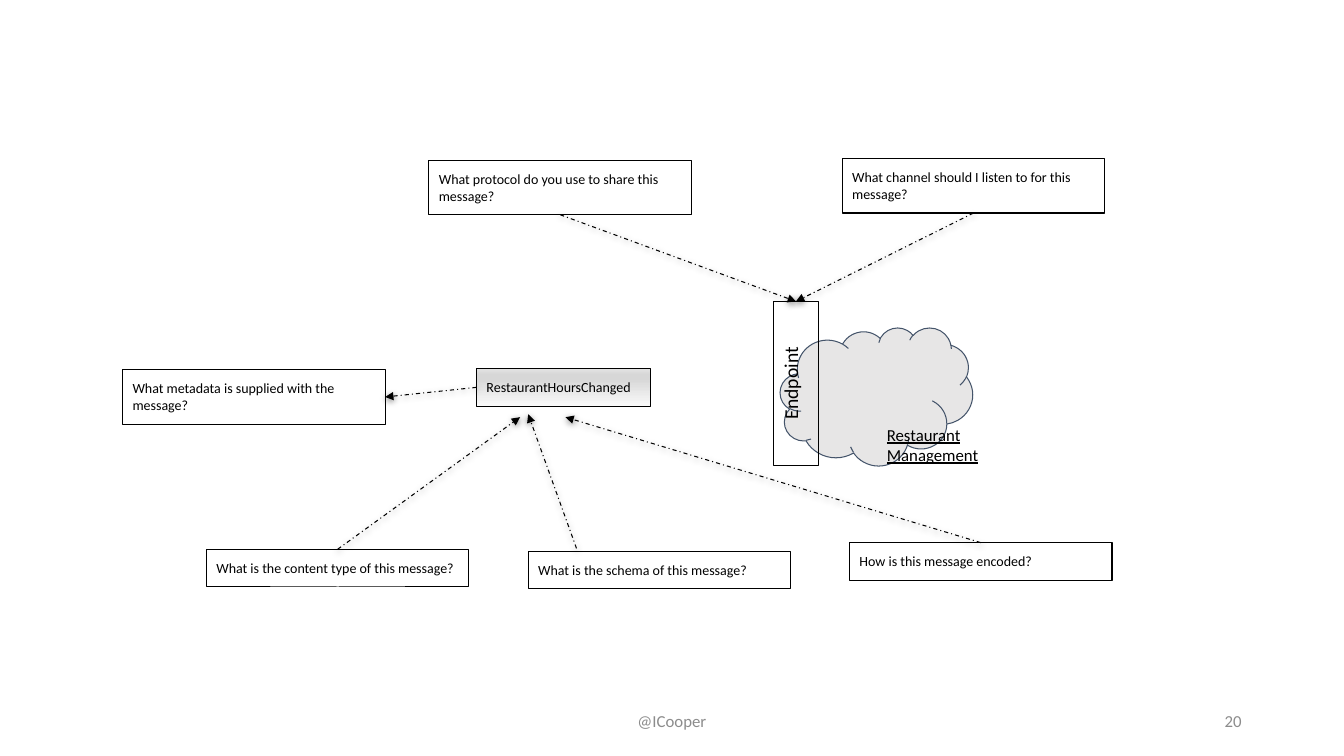
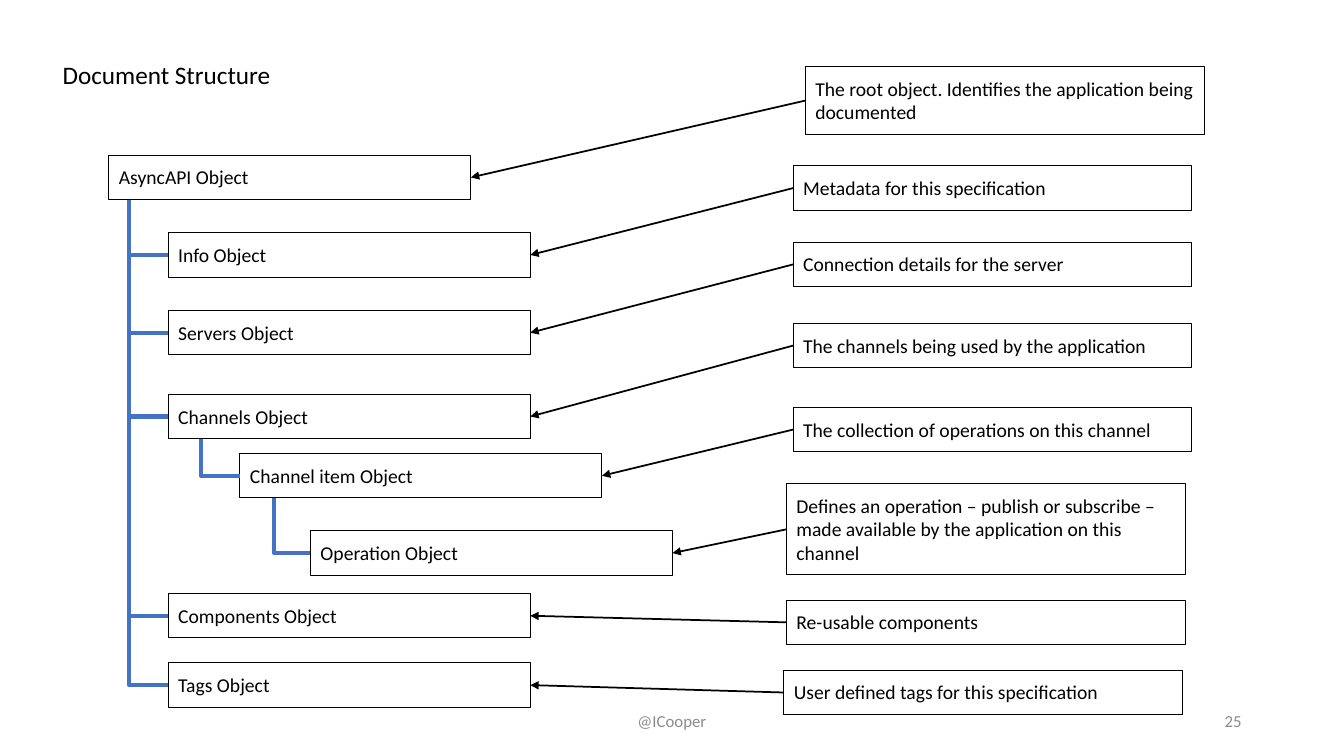
from collections import namedtuple
from dataclasses import dataclass
from enum import IntEnum

from lxml.etree import SubElement
from pptx import Presentation
from pptx.dml.color import RGBColor
from pptx.enum.dml import MSO_LINE
from pptx.enum.shapes import MSO_CONNECTOR, MSO_SHAPE
from pptx.enum.text import MSO_ANCHOR, PP_ALIGN
from pptx.oxml.ns import qn
from pptx.util import Pt


@dataclass(frozen=True)
class Theme:
    font: str = "Calibri"
    ink: str = "000000"
    muted: str = "8C8C8C"
    cloud: str = "E7E6E6"
    cloud_edge: str = "44546A"
    tree: str = "4472C4"
    message_stops: tuple = ((0, "FAFAFA"), (74, "D7D7D7"), (83, "D7D7D7"), (100, "E4E4E4"))
    title_size: int = 18
    body_size: int = 14
    label_size: int = 12
    question_size: int = 10
    inset: float = 7.2
    outline: float = 0.75
    arrow: float = 1.25
    branch: int = 3


class Side(IntEnum):
    TOP = 0
    LEFT = 1
    BOTTOM = 2
    RIGHT = 3


Point = namedtuple("Point", "x y")
Joint = namedtuple("Joint", "shape side")
Row = namedtuple("Row", "name level top note note_left note_top note_height")

THEME = Theme()
QUESTION_WIDTH = 187.5
ONE_LINE, TWO_LINES = 27, 39
OBJECT_WIDTH, NOTE_WIDTH, ROW_HEIGHT = 258.6, 284.8, 31.7
LEVEL_LEFT = (77.8, 120.2, 171.4, 221.8)
TRUNK_INDENT = (14.5, 23.5, 24.5)

OBJECT_ROWS = (
    Row("AsyncAPI Object", 0, 110.9,
        "The root object. Identifies the application being documented", 575.3, 47.6, 48.5),
    Row("Info Object", 1, 166.3, "Metadata for this specification", 566.6, 118.5, ROW_HEIGHT),
    Row("Servers Object", 1, 221.8, "Connection details for the server", 566.6, 173, ROW_HEIGHT),
    Row("Channels Object", 1, 281.7,
        "The channels being used by the application", 566.6, 231, ROW_HEIGHT),
    Row("Channel item Object", 2, 324,
        "The collection of operations on this channel", 566.6, 291, ROW_HEIGHT),
    Row("Operation Object", 3, 379.2,
        "Defines an operation – publish or subscribe – made available by the application "
        "on this channel", 561.8, 345.5, 65.2),
    Row("Components Object", 1, 424, "Re-usable components", 561.8, 428.7, ROW_HEIGHT),
    Row("Tags Object", 1, 473.5,
        "User defined tags for this specification", 559.9, 478.8, ROW_HEIGHT),
)


def color(value):
    return RGBColor.from_string(value)


def write(shape, text, size, ink=THEME.ink, align=PP_ALIGN.LEFT, anchor=MSO_ANCHOR.TOP):
    frame = shape.text_frame
    frame.word_wrap = True
    frame.vertical_anchor = anchor
    frame.margin_left = frame.margin_right = Pt(THEME.inset)
    frame.margin_top = frame.margin_bottom = Pt(THEME.inset)
    frame.text = text
    paragraph = frame.paragraphs[0]
    paragraph.alignment = align
    font = paragraph.runs[0].font
    font.name = THEME.font
    font.size = Pt(size)
    font.color.rgb = color(ink)
    return font


def add_text(slide, left, top, width, height, text, size, **style):
    shape = slide.shapes.add_textbox(Pt(left), Pt(top), Pt(width), Pt(height))
    return write(shape, text, size, **style)


def add_outline(slide, preset, left, top, width, height, edge=THEME.ink):
    shape = slide.shapes.add_shape(preset, Pt(left), Pt(top), Pt(width), Pt(height))
    shape.shadow.inherit = False
    shape.fill.background()
    shape.line.color.rgb = color(edge)
    shape.line.width = Pt(THEME.outline)
    return shape


def add_box(slide, left, top, width, height, text, size, **style):
    shape = add_outline(slide, MSO_SHAPE.RECTANGLE, left, top, width, height)
    write(shape, text, size, **style)
    return shape


def shade(shape, stops):
    """Fill the shape with a gradient running from bottom to top."""
    shape.fill.gradient()
    shape.fill.gradient_angle = 90
    stop_list = shape.fill.gradient_stops[0]._gs.getparent()
    for stop in list(stop_list):
        stop_list.remove(stop)
    for percent, value in stops:
        stop = SubElement(stop_list, qn("a:gs"), pos=str(percent * 1000))
        SubElement(stop, qn("a:srgbClr"), val=value)


def add_connector(slide, kind, start, end, ink, width):
    """Add a connector without a shadow; return it with its effect list."""
    connector = slide.shapes.add_connector(
        kind, Pt(start.x), Pt(start.y), Pt(end.x), Pt(end.y))
    connector.line.color.rgb = color(ink)
    connector.line.width = Pt(width)
    effects = SubElement(connector._element.spPr, qn("a:effectLst"))
    return connector, effects


def add_arrow(slide, start, end, width):
    """Draw a straight arrow; each end is a free Point or a Joint on a shape."""
    origin = Point(0, 0)
    connector, effects = add_connector(
        slide, MSO_CONNECTOR.STRAIGHT,
        start if isinstance(start, Point) else origin,
        end if isinstance(end, Point) else origin, THEME.ink, width)
    if isinstance(start, Joint):
        connector.begin_connect(start.shape, start.side)
    if isinstance(end, Joint):
        connector.end_connect(end.shape, end.side)
    return connector, effects


def add_head(connector):
    SubElement(connector.line._get_or_add_ln(), qn("a:tailEnd"), type="triangle")


def add_question_arrow(slide, start, end):
    connector, effects = add_arrow(slide, start, end, THEME.outline)
    connector.line.dash_style = MSO_LINE.DASH_DOT
    add_head(connector)
    shadow = SubElement(effects, qn("a:outerShdw"), blurRad=str(Pt(4.5)),
                        dist=str(Pt(1.5)), dir="5400000", rotWithShape="0")
    ink = SubElement(shadow, qn("a:srgbClr"), val=THEME.ink)
    SubElement(ink, qn("a:alpha"), val="50000")


def add_note_arrow(slide, note, target):
    connector, _ = add_arrow(
        slide, Joint(note, Side.LEFT), Joint(target, Side.RIGHT), THEME.arrow)
    add_head(connector)


def add_branch(slide, start, end):
    """Draw an elbow that runs down from start, then right to end."""
    across, down = end.x - start.x, end.y - start.y
    middle = Point((start.x + end.x) / 2, (start.y + end.y) / 2)
    # The elbow preset runs right then down, so its frame is turned and mirrored.
    connector, _ = add_connector(
        slide, MSO_CONNECTOR.ELBOW,
        Point(middle.x - down / 2, middle.y - across / 2),
        Point(middle.x + down / 2, middle.y + across / 2), THEME.tree, THEME.branch)
    properties = connector._element.spPr
    properties.find(qn("a:prstGeom")).set("prst", "bentConnector2")
    frame = properties.find(qn("a:xfrm"))
    frame.set("rot", "16200000")
    frame.set("flipH", "1")


def add_footer(slide, number):
    for left, width, text, align in (
            (318, 324, "@ICooper", PP_ALIGN.CENTER),
            (678, 216, number, PP_ALIGN.RIGHT)):
        add_text(slide, left, 500.5, width, 28.75, text, THEME.label_size,
                 ink=THEME.muted, align=align, anchor=MSO_ANCHOR.MIDDLE)


def add_slide(presentation):
    return presentation.slides.add_slide(presentation.slide_layouts[6])


def build_questions(presentation):
    slide = add_slide(presentation)

    def add_question(left, top, height, text):
        return add_box(slide, left, top, QUESTION_WIDTH, height, text, THEME.question_size)

    cloud = add_outline(slide, MSO_SHAPE.CLOUD, 557.3, 234, 137.5, 98.6, THEME.cloud_edge)
    cloud.fill.solid()
    cloud.fill.fore_color.rgb = color(THEME.cloud)
    label = add_text(slide, 626.4, 295.9, 93.6, 44, "Restaurant Management", THEME.label_size)
    label.underline = True
    endpoint = add_box(slide, 552.6, 215.3, 32, 117, "Endpoint", THEME.body_size,
                       align=PP_ALIGN.CENTER)
    endpoint.text_frame._txBody.bodyPr.set("vert", "vert270")
    message = add_box(slide, 340.4, 263.2, 124.3, ONE_LINE, "RestaurantHoursChanged",
                      THEME.question_size)
    shade(message, THEME.message_stops)

    add_question(377.3, 393.7, ONE_LINE, "What is the schema of this message?")
    content = add_question(147.5, 392.3, ONE_LINE, "What is the content type of this message?")
    encoding = add_question(606.8, 387.6, ONE_LINE, "How is this message encoded?")
    metadata = add_question(87.6, 264.1, TWO_LINES, "What metadata is supplied with the message?")
    protocol = add_question(306.4, 114.4, TWO_LINES,
                            "What protocol do you use to share this message?")
    channel = add_question(601.6, 113.2, TWO_LINES,
                           "What channel should I listen to for this message?")

    for start, end in (
            (Point(411.8, 391.7), Point(377.3, 295.9)),
            (Joint(content, Side.TOP), Point(371.5, 298)),
            (Joint(encoding, Side.TOP), Point(403.9, 298)),
            (Joint(protocol, Side.BOTTOM), Joint(endpoint, Side.TOP)),
            (Joint(message, Side.LEFT), Joint(metadata, Side.RIGHT)),
            (Joint(channel, Side.BOTTOM), Joint(endpoint, Side.TOP))):
        add_question_arrow(slide, start, end)
    add_footer(slide, "20")


def build_document_structure(presentation):
    slide = add_slide(presentation)
    add_text(slide, 37.6, 35.3, 622.8, 36, "Document Structure", THEME.title_size)
    latest_top = {}
    for row in OBJECT_ROWS:
        left = LEVEL_LEFT[row.level]
        target = add_box(slide, left, row.top, OBJECT_WIDTH, ROW_HEIGHT,
                         row.name, THEME.body_size)
        note = add_box(slide, row.note_left, row.note_top, NOTE_WIDTH, row.note_height,
                       row.note, THEME.body_size)
        add_note_arrow(slide, note, target)
        latest_top[row.level] = row.top
        if row.level:
            parent = row.level - 1
            start = Point(LEVEL_LEFT[parent] + TRUNK_INDENT[parent],
                          latest_top[parent] + ROW_HEIGHT)
            add_branch(slide, start, Point(left, row.top + ROW_HEIGHT / 2))
    add_footer(slide, "25")


def main():
    presentation = Presentation()
    presentation.slide_width = Pt(960)
    presentation.slide_height = Pt(540)
    build_questions(presentation)
    build_document_structure(presentation)
    presentation.save("out.pptx")


if __name__ == "__main__":
    main()
